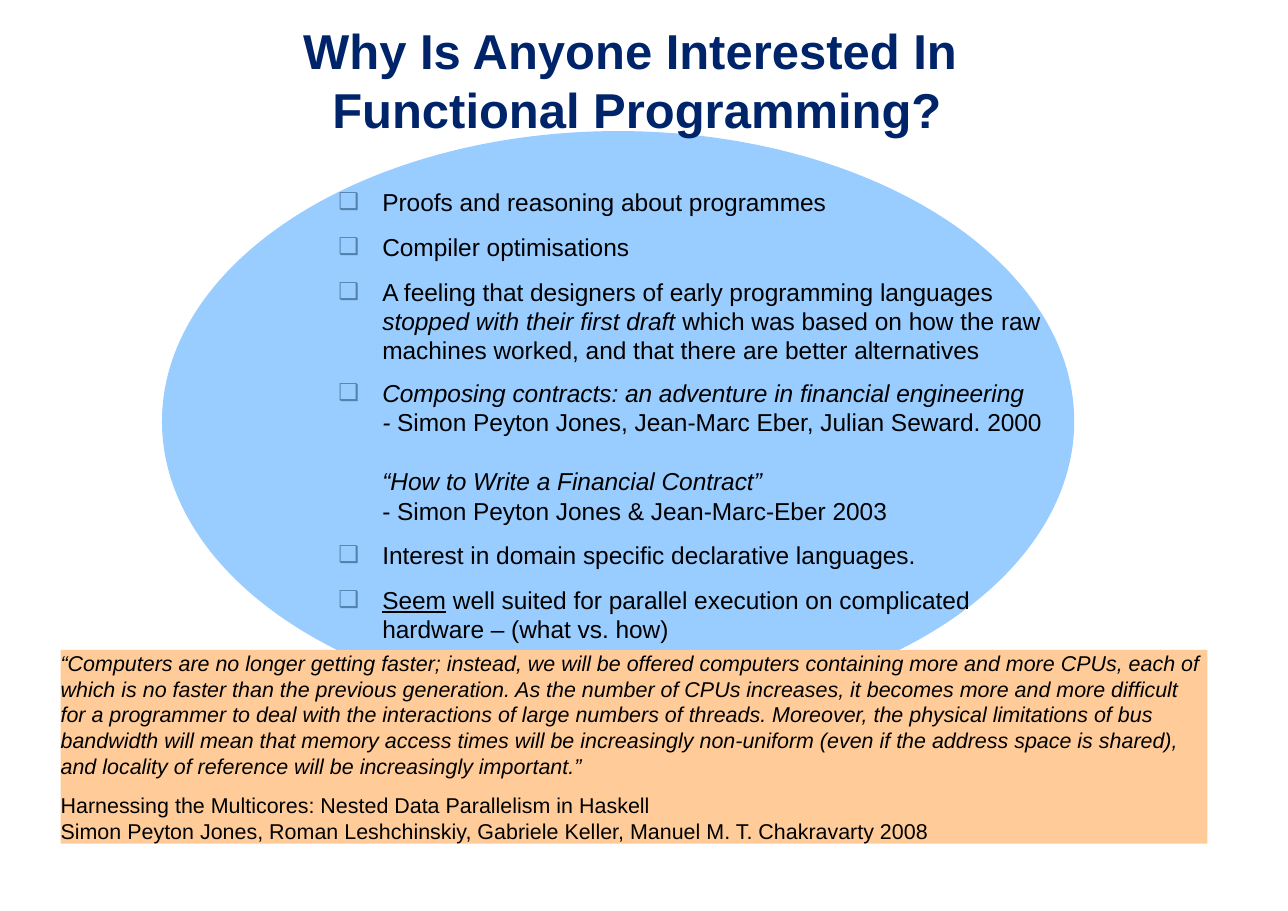
import pptx
import pptx.util
import pptx.dml.color
import pptx.enum.shapes
import pptx.enum.text
import lxml.etree

Inches, Pt = pptx.util.Inches, pptx.util.Pt
RGBColor = pptx.dml.color.RGBColor
SHAPE = pptx.enum.shapes.MSO_SHAPE
TEXT = pptx.enum.text

NAVY = RGBColor(0x00, 0x24, 0x69)
BLACK = RGBColor(0x00, 0x00, 0x00)
SKY = RGBColor(0x99, 0xCC, 0xFF)
PEACH = RGBColor(0xFF, 0xCC, 0x99)
STEEL = RGBColor(0x53, 0x81, 0xAC)

HEAD = {"size": Pt(32), "bold": True, "name": "Arial"}
LIST = {"size": Pt(16), "name": "Arial"}
QUOTE = {"size": Pt(14), "name": "Arial"}
ITALIC = {"italic": True}
LINE = {"underline": True}
FRAME = {"margin_left": 0, "margin_top": 0, "margin_right": 0, "margin_bottom": 0,
         "word_wrap": True, "auto_size": TEXT.MSO_AUTO_SIZE.NONE,
         "vertical_anchor": TEXT.MSO_ANCHOR.TOP}

# Each item: bullet shown, space before in points, runs with their extra format
POINTS = [
    (True, 0, [("Proofs and reasoning about programmes", {})]),
    (True, 10, [("Compiler optimisations", {})]),
    (True, 10, [("A feeling that designers of early programming languages ", {}),
                ("stopped with their first draft", ITALIC),
                (" which was based on how the raw machines worked, "
                 "and that there are better alternatives", {})]),
    (True, 8.8, [("Composing contracts: an adventure in financial engineering \n- ", ITALIC),
                 ("Simon Peyton Jones, Jean-Marc Eber, Julian Seward. 2000", {})]),
    (False, 19.2, [("“How to Write a Financial Contract” \n", ITALIC),
                   ("- Simon Peyton Jones & Jean-Marc-Eber 2003", {})]),
    (True, 10, [("Interest in domain specific declarative languages.", {})]),
    (True, 10, [("Seem", LINE),
                (" well suited for parallel execution on complicated hardware "
                 "– (what vs. how)", {})]),
]
WORDS = [
    (0, [("“Computers are no longer getting faster; instead, we will be offered computers "
          "containing more and more CPUs, each of which is no faster than the previous "
          "generation. As the number of CPUs increases, it becomes more and more difficult "
          "for a programmer to deal with the interactions of large numbers of threads. "
          "Moreover, the physical limitations of bus bandwidth will mean that memory access "
          "times will be increasingly non-uniform (even if the address space is shared), "
          "and locality of reference will be increasingly important.”", ITALIC)]),
    (8.8, [("Harnessing the Multicores: Nested Data Parallelism in Haskell\n"
            "Simon Peyton Jones, Roman Leshchinskiy, Gabriele Keller, "
            "Manuel M. T. Chakravarty 2008", {})]),
]


def apply(target, values):
    for name, value in values.items():
        setattr(target, name, value)


def place(shape, box):
    sides = map(Inches, box)
    apply(shape, dict(zip(("left", "top", "width", "height"), sides)))


def write(para, runs, style, color):
    """Fill a paragraph with runs; a newline becomes a line break."""
    for text, extra in runs:
        for count, part in enumerate(text.split("\n")):
            if count:
                para.add_line_break()
            if part:
                run = para.add_run()
                run.text = part
                apply(run.font, {**style, **extra})
                run.font.color.rgb = color


def indent(para, shown):
    """Set a hanging indent, with or without the box bullet."""
    props = para._p.get_or_add_pPr()
    props.set("marL", str(Inches(0.4)))
    props.set("indent", str(Inches(-0.4) if shown else 0))

    def add(parent, tag, **values):
        return lxml.etree.SubElement(parent, pptx.oxml.ns.qn(tag), values)

    if shown:
        add(add(props, "a:buClr"), "a:srgbClr", val=str(STEEL))
        add(props, "a:buSzPct", val="95000")
        add(props, "a:buChar", char="❑")
    else:
        add(props, "a:buNone")


def next_para(frame, count):
    return frame.add_paragraph() if count else frame.paragraphs[0]


def add_panel(slide, kind, box, fill):
    panel = slide.shapes.add_shape(kind, *map(Inches, box))
    panel.shadow.inherit = False
    panel.fill.solid()
    panel.fill.fore_color.rgb = fill
    panel.line.fill.background()
    return panel


def add_oval(slide, box):
    """Place the oval behind the placeholders."""
    oval = add_panel(slide, SHAPE.OVAL, box, SKY)
    slide.shapes.title.element.addprevious(oval.element)


def add_title(slide, box):
    title = slide.shapes.title
    place(title, box)
    apply(title.text_frame, FRAME)
    para = title.text_frame.paragraphs[0]
    apply(para, {"alignment": TEXT.PP_ALIGN.CENTER, "space_before": Pt(0)})
    write(para, [("Why Is Anyone Interested In \nFunctional Programming?", {})], HEAD, NAVY)


def add_list(slide, box):
    body = slide.placeholders[1]
    place(body, box)
    apply(body.text_frame, FRAME)
    for count, (shown, gap, runs) in enumerate(POINTS):
        para = next_para(body.text_frame, count)
        indent(para, shown)
        para.space_before = Pt(gap)
        write(para, runs, LIST, BLACK)


def add_quote(slide, box):
    frame = add_panel(slide, SHAPE.RECTANGLE, box, PEACH).text_frame
    apply(frame, FRAME)
    for count, (gap, runs) in enumerate(WORDS):
        para = next_para(frame, count)
        apply(para, {"alignment": TEXT.PP_ALIGN.LEFT, "space_before": Pt(gap)})
        write(para, runs, QUOTE, BLACK)


def main():
    deck = pptx.Presentation()
    deck.slide_width, deck.slide_height = Inches(11.69), Inches(8.27)
    slide = deck.slides.add_slide(deck.slide_layouts[1])
    add_oval(slide, (1.47, 1.19, 8.28, 5.27))
    add_title(slide, (0.47, 0.19, 10.63, 1.1))
    add_list(slide, (3.07, 1.7, 6.68, 4.14))
    add_quote(slide, (0.55, 5.9, 10.41, 1.76))
    deck.save("out.pptx")


if __name__ == "__main__":
    main()
